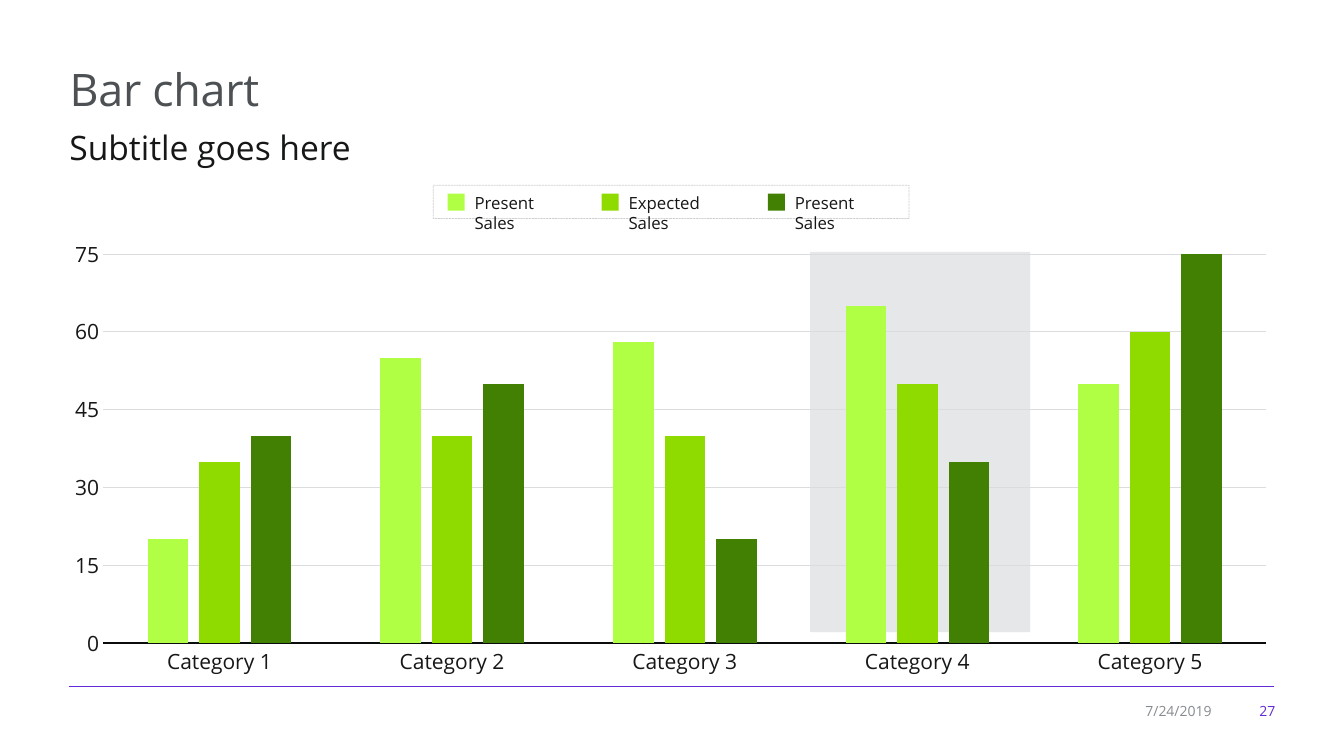
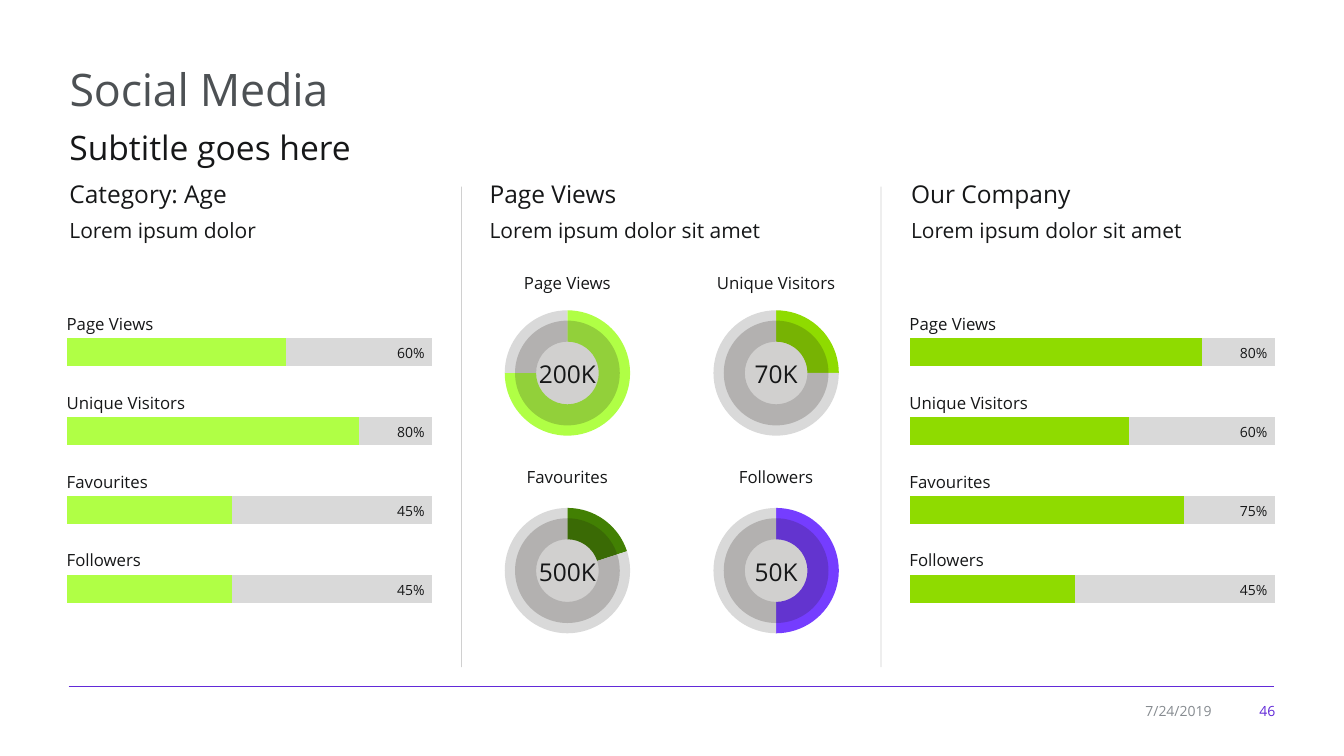
from lxml import etree
from pptx import Presentation
from pptx.chart.data import CategoryChartData
from pptx.dml.color import RGBColor
from pptx.enum.chart import XL_CHART_TYPE, XL_TICK_MARK
from pptx.enum.dml import MSO_LINE
from pptx.enum.shapes import MSO_CONNECTOR, MSO_SHAPE
from pptx.enum.text import MSO_ANCHOR, PP_ALIGN
from pptx.oxml import parse_xml
from pptx.oxml.ns import nsdecls, qn
from pptx.util import Cm, Pt

COLUMNS = XL_CHART_TYPE.COLUMN_CLUSTERED
STACKED_BAR = XL_CHART_TYPE.BAR_STACKED_100
DOUGHNUT = XL_CHART_TYPE.DOUGHNUT
NO_TICKS = XL_TICK_MARK.NONE
DOTTED = MSO_LINE.SQUARE_DOT
STRAIGHT = MSO_CONNECTOR.STRAIGHT
RECTANGLE = MSO_SHAPE.RECTANGLE
OVAL = MSO_SHAPE.OVAL
TOP = MSO_ANCHOR.TOP
MIDDLE = MSO_ANCHOR.MIDDLE
LEFT = PP_ALIGN.LEFT
CENTER = PP_ALIGN.CENTER
RIGHT = PP_ALIGN.RIGHT

FONT = "Open Sans"
INK = "161718"
TITLE_GREY = "4D5154"
DATE_GREY = "868B90"
PURPLE = "622AD8"
VIOLET = "753DFF"
LIME = "B0FF45"
GREEN = "8FDB00"
FOREST = "428003"
TRACK = "D9D9D9"
HIGHLIGHT = "E6E7E8"
GRID = "DBDCDE"
AXIS = "0B0C0C"
SHADE = "1B140F"


def rgb(value):
    return RGBColor.from_string(value)


def box(left, top, width, height):
    return Cm(left), Cm(top), Cm(width), Cm(height)


def set_alpha(element, percent):
    color = next(element.iter(qn("a:srgbClr")))
    etree.SubElement(color, qn("a:alpha")).set("val", str(percent * 1000))


class Deck:
    def __init__(self):
        self.presentation = Presentation()
        self.presentation.slide_width = Cm(33.87)
        self.presentation.slide_height = Cm(19.05)
        self.slide = None

    def start(self, title, subtitle):
        layout = self.presentation.slide_layouts[5]
        self.slide = self.presentation.slides.add_slide(layout)
        heading = self.slide.shapes.title
        heading.left, heading.top, heading.width, heading.height = box(1.5, 1.42, 30.89, 1.68)
        self.set_text(heading, title, 32, TITLE_GREY, LEFT, TOP)
        heading.text_frame.paragraphs[0].runs[0].font._element.set("spc", "-20")
        paragraph = self.text(1.5, 2.9, 30.56, 1.37, subtitle, 24)
        paragraph.line_spacing = 1.17
        paragraph.space_after = Pt(6)
        self.line(1.73, 17.3, 32.11, 17.3, PURPLE, 0.75)

    def footer(self, number):
        self.text(31.09, 17.58, 1.3, 0.66, number, 10, PURPLE, RIGHT, MIDDLE)
        self.text(28.37, 17.58, 2.41, 0.66, "7/24/2019", 10, DATE_GREY, RIGHT, MIDDLE)

    def set_text(self, shape, content, size, color, align, anchor):
        frame = shape.text_frame
        frame.text = content
        frame.word_wrap = True
        frame.vertical_anchor = anchor
        paragraph = frame.paragraphs[0]
        paragraph.alignment = align
        paragraph.font.name = FONT
        paragraph.font.size = Pt(size)
        paragraph.font.color.rgb = rgb(color)
        return paragraph

    def text(self, left, top, width, height, content, size, color=INK, align=LEFT, anchor=TOP):
        area = self.slide.shapes.add_textbox(*box(left, top, width, height))
        return self.set_text(area, content, size, color, align, anchor)

    def line(self, x1, y1, x2, y2, color, weight, alpha=100):
        rule = self.slide.shapes.add_connector(STRAIGHT, Cm(x1), Cm(y1), Cm(x2), Cm(y2))
        rule.line.color.rgb = rgb(color)
        rule.line.width = Pt(weight)
        properties = rule._element.spPr
        if alpha < 100:
            set_alpha(properties, alpha)
        etree.SubElement(properties, qn("a:effectLst"))

    def shape(self, kind, left, top, width, height, fill, alpha=100):
        figure = self.slide.shapes.add_shape(kind, *box(left, top, width, height))
        figure.shadow.inherit = False
        figure.line.fill.background()
        figure.fill.solid()
        figure.fill.fore_color.rgb = rgb(fill)
        if alpha < 100:
            set_alpha(figure._element.spPr, alpha)

    def frame(self, left, top, width, height):
        border = self.slide.shapes.add_shape(RECTANGLE, *box(left, top, width, height))
        border.shadow.inherit = False
        border.fill.background()
        border.line.color.rgb = rgb(INK)
        border.line.width = Pt(0.5)
        border.line.dash_style = DOTTED
        set_alpha(border._element.spPr, 20)

    def chart(self, kind, left, top, width, height, categories, series):
        data = CategoryChartData()
        data.categories = categories
        for number, values in enumerate(series, 1):
            data.add_series(f"Series {number}", values)
        chart = self.slide.shapes.add_chart(kind, *box(left, top, width, height), data).chart
        chart.has_legend = False
        chart.has_title = False
        chart.font.name = FONT
        chart.font.size = Pt(10)
        chart.font.color.rgb = rgb(INK)
        return chart

    def paint(self, parts, colors):
        for part, color in zip(parts, colors):
            part.format.fill.solid()
            part.format.fill.fore_color.rgb = rgb(color)

    def column_chart(self, left, top, width, height, categories, series, colors):
        chart = self.chart(COLUMNS, left, top, width, height, categories, series)
        plot = chart.plots[0]
        plot.vary_by_categories = False
        plot.gap_width = 219
        plot.overlap = -27
        self.paint(plot.series, colors)
        for axis in (chart.category_axis, chart.value_axis):
            axis.major_tick_mark = NO_TICKS
            axis.minor_tick_mark = NO_TICKS
            axis.tick_labels.font.name = FONT
            axis.tick_labels.font.size = Pt(15)
            axis.tick_labels.font.color.rgb = rgb(INK)
        chart.category_axis.format.line.color.rgb = rgb(AXIS)
        chart.category_axis.format.line.width = Pt(1)
        scale = chart.value_axis
        scale.format.line.fill.background()
        scale.minimum_scale = 0
        scale.maximum_scale = 75
        scale.major_unit = 15
        scale.major_gridlines.format.line.color.rgb = rgb(GRID)
        scale.major_gridlines.format.line.width = Pt(0.75)

    def progress_bar(self, left, top, label, percent, color):
        chart = self.chart(STACKED_BAR, left, top, 9.2, 0.71, ["1"], [[percent], [100 - percent]])
        plot = chart.plots[0]
        plot.vary_by_categories = False
        plot.gap_width = 0
        plot.overlap = 100
        self.paint(plot.series, (color, TRACK))
        chart.value_axis.has_major_gridlines = False
        chart.category_axis.visible = False
        chart.value_axis.visible = False
        area = chart._chartSpace.chart.plotArea
        for layout in area.findall(qn("c:layout")):
            area.remove(layout)
        settings = (("layoutTarget", "inner"), ("xMode", "edge"), ("yMode", "edge"),
                    ("x", 0), ("y", 0), ("w", 1), ("h", 1))
        tags = "".join(f'<c:{name} val="{value}"/>' for name, value in settings)
        area.insert(0, parse_xml(
            f'<c:layout {nsdecls("c")}><c:manualLayout>{tags}</c:manualLayout></c:layout>'))
        self.text(left + 7.25, top + 0.03, 2, 0.69, f"{percent}%", 10, align=RIGHT)
        self.text(left - 0.27, top - 0.75, 5, 0.76, label, 12)

    def ring(self, left, top, label_top, label, value, percent, color):
        chart = self.chart(DOUGHNUT, left, top, 3.86, 3.96, ["1", "2"], [[percent, 100 - percent]])
        plot = chart.plots[0]
        plot.vary_by_categories = True
        plot._element.find(qn("c:holeSize")).set("val", "75")
        points = plot.series[0].points
        self.paint((points[0], points[1]), (color, TRACK))
        self.shape(OVAL, left + 0.61, top + 0.66, 2.64, 2.64, SHADE, 20)
        self.text(left, label_top, 3.86, 0.76, label, 12, align=CENTER)
        self.text(left, top + 1.5, 3.86, 1.02, value, 17.5, align=CENTER)


def bar_chart_slide(deck):
    deck.start("Bar chart", "Subtitle goes here")
    legend = ((11.28, "Present Sales", LIME),
              (15.16, "Expected Sales", GREEN),
              (19.35, "Present Sales", FOREST))
    for left, label, color in legend:
        deck.shape(RECTANGLE, left, 4.88, 0.43, 0.43, color)
        deck.text(left + 0.43, 4.72, 2.6, 0.76, label, 12)
    deck.frame(10.92, 4.67, 11.99, 0.84)
    deck.shape(RECTANGLE, 20.42, 6.35, 5.54, 9.58, HIGHLIGHT)
    deck.column_chart(
        1.27, 5.82, 31.27, 11.43,
        [f"Category {number}" for number in range(1, 6)],
        [(20, 55, 58, 65, 50), (35, 40, 40, 50, 60), (40, 50, 20, 35, 75)],
        (LIME, GREEN, FOREST))
    deck.footer("27")


def social_media_slide(deck):
    deck.start("Social Media", "Subtitle goes here")
    columns = ((1.5, "Category: Age", "Lorem ipsum dolor"),
               (12.09, "Page Views", "Lorem ipsum dolor sit amet"),
               (22.71, "Our Company", "Lorem ipsum dolor sit amet"))
    for left, heading, summary in columns:
        deck.text(left, 4.39, 9.35, 1.02, heading, 17.5)
        deck.text(left, 5.36, 9.35, 0.89, summary, 15)
    for x in (11.63, 22.2):
        deck.line(x, 4.7, x, 16.81, INK, 0.5, 20)

    measures = ("Page Views", "Unique Visitors", "Favourites", "Followers")
    panels = ((1.7, LIME, (60, 80, 45, 45)), (22.94, GREEN, (80, 60, 75, 45)))
    for left, color, percents in panels:
        for row, (measure, percent) in enumerate(zip(measures, percents)):
            deck.progress_bar(left, 8.52 + 1.99 * row, measure, percent, color)

    rings = (("200K", 75, LIME), ("70K", 25, GREEN), ("500K", 20, FOREST), ("50K", 50, VIOLET))
    ring_rows = ((7.42, 6.76), (12.4, 11.63))
    for index, (measure, ring) in enumerate(zip(measures, rings)):
        row, column = divmod(index, 2)
        top, label_top = ring_rows[row]
        deck.ring(12.37 + 5.26 * column, top, label_top, measure, *ring)
    deck.footer("46")


def main():
    deck = Deck()
    bar_chart_slide(deck)
    social_media_slide(deck)
    deck.presentation.save("out.pptx")


if __name__ == "__main__":
    main()
